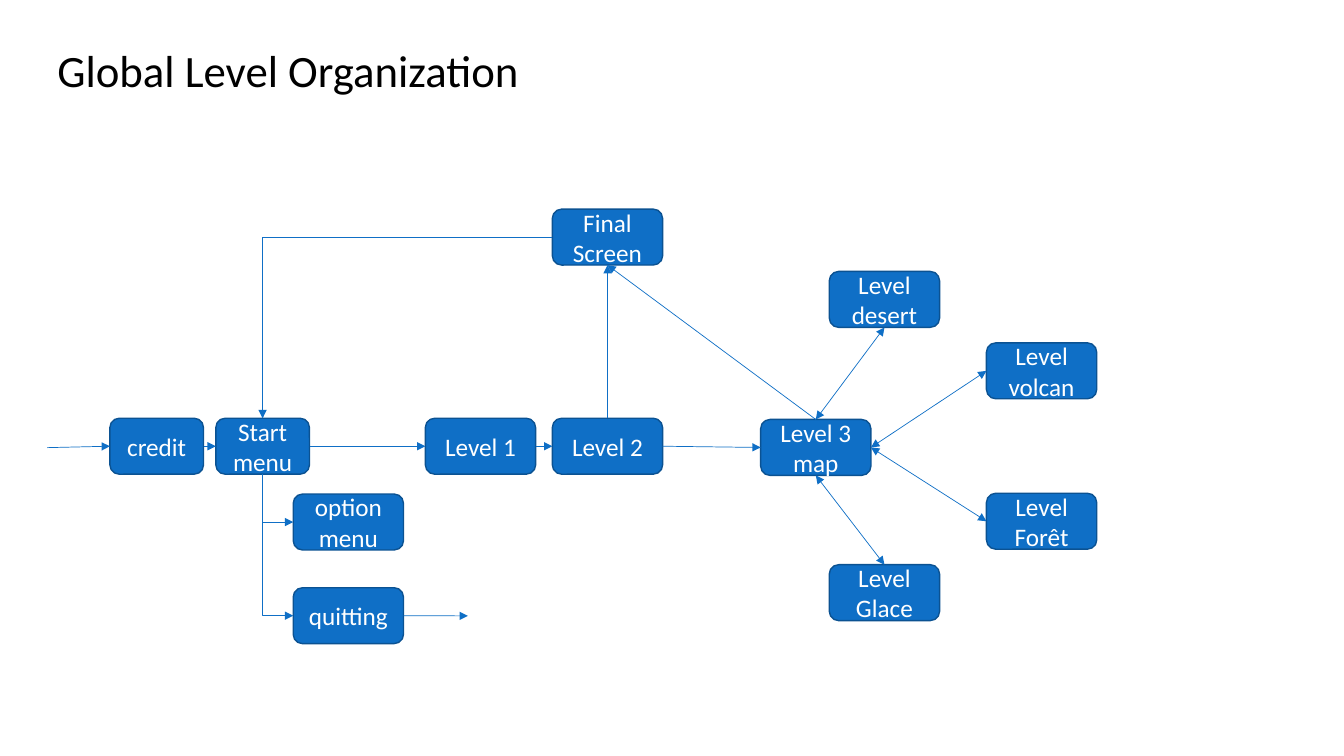
from lxml.etree import SubElement
from pptx import Presentation
from pptx.dml.color import RGBColor
from pptx.enum.shapes import MSO_CONNECTOR as Link, MSO_SHAPE as Preset
from pptx.enum.text import MSO_ANCHOR as Anchor, MSO_AUTO_SIZE as Fit, PP_ALIGN as Align
from pptx.oxml.ns import qn
from pptx.util import Cm, Pt

COLORS = {"fill": "0F6FC6", "border": "0B5292", "light": "FFFFFF", "dark": "000000"}
TOP, LEFT, BOTTOM, RIGHT = range(4)
WIDE, NARROW, BOX_HEIGHT = 2.78, 2.36, 1.41
MAIN_ROW = 10.54

BOXES = {
    "credit": (2.77, MAIN_ROW, NARROW),
    "Start menu": (5.44, MAIN_ROW, NARROW),
    "option menu": (7.39, 12.45, WIDE),
    "quitting": (7.39, 14.81, WIDE),
    "Level 1": (10.72, MAIN_ROW, WIDE),
    "Level 2": (13.92, MAIN_ROW, WIDE),
    "Final Screen": (13.92, 5.27, WIDE),
    "Level 3 map": (19.17, 10.57, WIDE),
    "Level Glace": (20.9, 14.23, WIDE),
    "Level Forêt": (24.86, 12.43, WIDE),
    "Level volcan": (24.86, 8.64, WIDE),
    "Level desert": (20.9, 6.84, WIDE),
}

STRAIGHT_LINKS = [
    ("Start menu", RIGHT, "Level 1", LEFT),
    ("Level 1", RIGHT, "Level 2", LEFT),
    ("Level 2", RIGHT, "Level 3 map", LEFT),
    ("Level 2", TOP, "Final Screen", BOTTOM),
    ("Level 3 map", TOP, "Final Screen", BOTTOM),
]

TWO_WAY_LINKS = [
    ("Level 3 map", BOTTOM, "Level Glace", TOP),
    ("Level 3 map", RIGHT, "Level Forêt", LEFT),
    ("Level 3 map", TOP, "Level desert", BOTTOM),
    ("Level 3 map", RIGHT, "Level volcan", LEFT),
]


class LevelMap:
    def __init__(self, deck, font="Calibri"):
        self.page = deck.slides.add_slide(deck.slide_layouts[5])
        self.font = font
        self.boxes = {}

    def color(self, name):
        return RGBColor.from_string(COLORS[name])

    def set_text(self, frame, text, size, color, align):
        frame.text = text
        para = frame.paragraphs[0]
        para.alignment = align
        para.font.name = self.font
        para.font.size = Pt(size)
        para.font.color.rgb = self.color(color)

    def title(self, text, left, top, width, height):
        title = self.page.shapes.title
        title.left, title.top = Cm(left), Cm(top)
        title.width, title.height = Cm(width), Cm(height)
        frame = title.text_frame
        frame.word_wrap = False
        frame.auto_size = Fit.SHAPE_TO_FIT_TEXT
        frame.vertical_anchor = Anchor.TOP
        self.set_text(frame, text, 32, "dark", Align.LEFT)

    def box(self, text, left, top, width):
        box = self.page.shapes.add_shape(
            Preset.ROUNDED_RECTANGLE, Cm(left), Cm(top), Cm(width), Cm(BOX_HEIGHT))
        box.shadow.inherit = False
        box.fill.solid()
        box.fill.fore_color.rgb = self.color("fill")
        box.line.color.rgb = self.color("border")
        box.line.width = Pt(1)
        box.text_frame.vertical_anchor = Anchor.MIDDLE
        self.set_text(box.text_frame, text, 18, "light", Align.CENTER)
        self.boxes[text] = box

    def arrow(self, start=None, start_side=RIGHT, end=None, end_side=LEFT,
              begin_at=(0, 0), end_at=(0, 0), kind=Link.STRAIGHT, two_way=False):
        points = [Cm(value) for value in (*begin_at, *end_at)]
        arrow = self.page.shapes.add_connector(kind, *points)
        if start:
            arrow.begin_connect(self.boxes[start], start_side)
        if end:
            arrow.end_connect(self.boxes[end], end_side)
        arrow.line.color.rgb = self.color("fill")
        arrow.line.width = Pt(0.5)
        properties = arrow.element.spPr
        line = properties.find(qn("a:ln"))
        if two_way:
            SubElement(line, qn("a:headEnd"), type="triangle")
        SubElement(line, qn("a:tailEnd"), type="triangle")
        SubElement(properties, qn("a:effectLst"))
        return arrow

    def corner(self, start, start_side, end, end_side):
        arrow = self.arrow(start, start_side, end, end_side, kind=Link.ELBOW)
        properties = arrow.element.spPr
        properties.find(qn("a:prstGeom")).set("prst", "bentConnector2")
        if start_side == BOTTOM:
            across, down = arrow.width, arrow.height
            arrow.left += (across - down) // 2
            arrow.top += (down - across) // 2
            arrow.width, arrow.height = down, across
            frame = properties.find(qn("a:xfrm"))
            frame.set("rot", str(270 * 60000))
            frame.set("flipH", "1")


def main():
    deck = Presentation()
    deck.slide_width, deck.slide_height = Cm(33.87), Cm(19.05)
    level_map = LevelMap(deck)
    level_map.title("Global Level Organization", 1.19, 0.94, 12.29, 1.63)
    for text, place in BOXES.items():
        level_map.box(text, *place)
    for link in STRAIGHT_LINKS:
        level_map.arrow(*link)
    for link in TWO_WAY_LINKS:
        level_map.arrow(*link, two_way=True)
    level_map.arrow("credit", RIGHT, "Start menu", LEFT, kind=Link.ELBOW)
    for choice in ("option menu", "quitting"):
        level_map.corner("Start menu", BOTTOM, choice, LEFT)
    level_map.corner("Final Screen", LEFT, "Start menu", TOP)
    level_map.arrow(end="credit", begin_at=(1.19, 11.28))
    level_map.arrow(start="quitting", end_at=(11.79, 15.52))
    deck.save("out.pptx")


if __name__ == "__main__":
    main()
